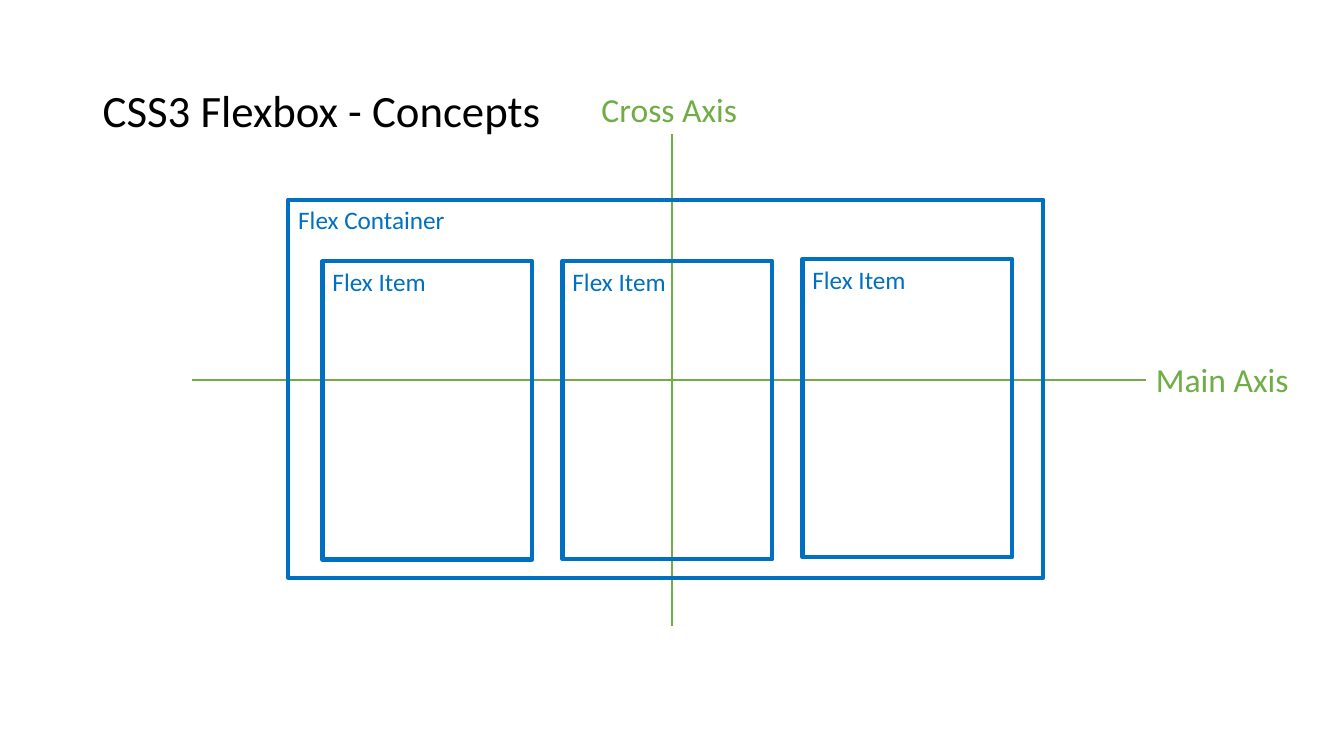
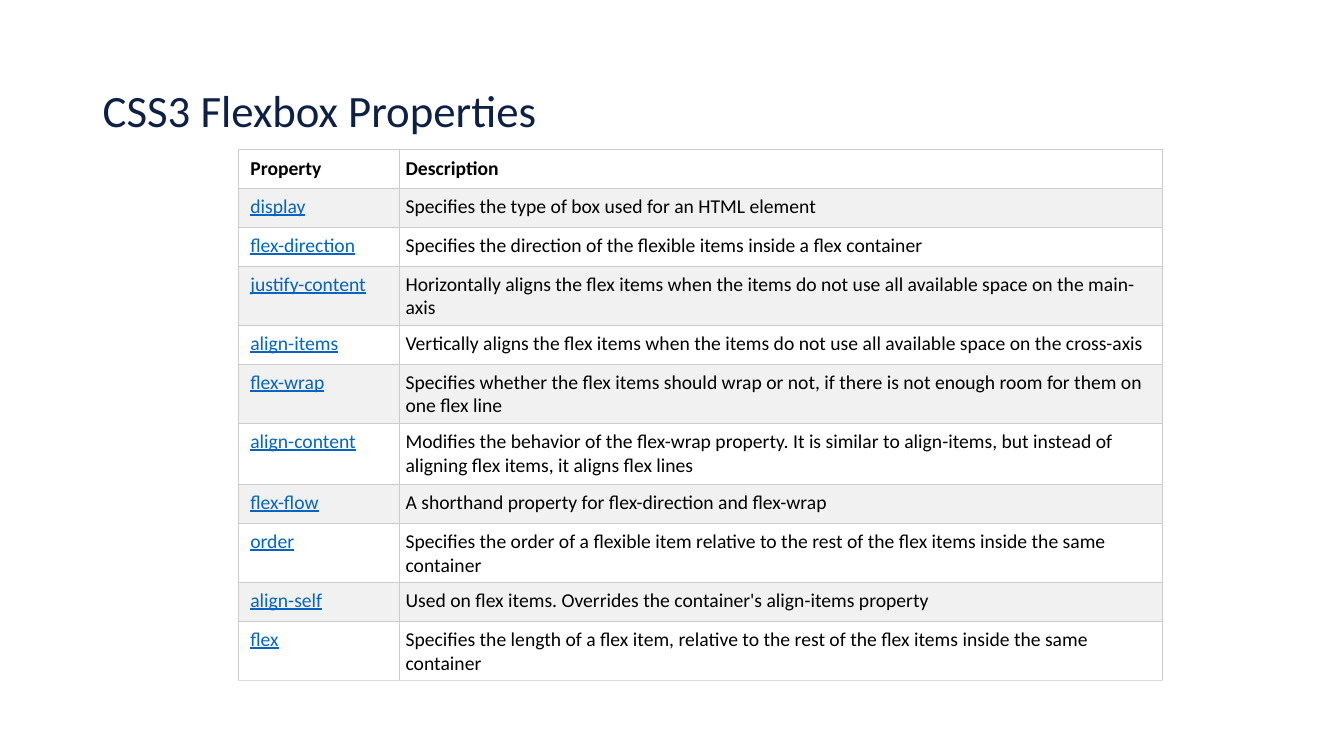
import dataclasses

import lxml.etree
import pptx
import pptx.dml.color
import pptx.enum.shapes
import pptx.enum.text
import pptx.oxml.ns
import pptx.presentation
import pptx.shapes.autoshape
import pptx.slide
import pptx.table
import pptx.text.text
import pptx.util

Pt = pptx.util.Pt
RGBColor = pptx.dml.color.RGBColor
Anchor = pptx.enum.text.MSO_ANCHOR
qn = pptx.oxml.ns.qn


@dataclasses.dataclass(frozen=True)
class Theme:
    font: str = "Calibri"
    black: RGBColor = RGBColor.from_string("000000")
    white: RGBColor = RGBColor.from_string("FFFFFF")
    navy: RGBColor = RGBColor.from_string("0E2045")
    blue: RGBColor = RGBColor.from_string("0070C0")
    green: RGBColor = RGBColor.from_string("70AD47")
    link: RGBColor = RGBColor.from_string("0563C1")
    stripe: RGBColor = RGBColor.from_string("F1F1F1")
    border: RGBColor = RGBColor.from_string("CCCCCC")
    last_border: RGBColor = RGBColor.from_string("DDDDDD")
    title_size: float = 32
    axis_size: float = 24
    box_size: float = 18
    table_size: float = 14
    box_line: float = 3
    axis_line: float = 1.5
    border_line: float = 0.75


THEME = Theme()


@dataclasses.dataclass(frozen=True)
class Frame:
    left: float
    top: float
    width: float
    height: float

    def lengths(self) -> tuple[int, int, int, int]:
        return Pt(self.left), Pt(self.top), Pt(self.width), Pt(self.height)


@dataclasses.dataclass(frozen=True)
class Box:
    text: str
    frame: Frame


@dataclasses.dataclass(frozen=True)
class Axis:
    label: Box
    label_side: int
    label_end: tuple[float, float]
    free_end: tuple[float, float]


@dataclasses.dataclass(frozen=True)
class Property:
    name: str
    description: str
    height: float = 27.8


TITLE_FRAME = Frame(66.24, 28.8, 828, 104.4)

AXES = (
    Axis(Box("Main Axis", Frame(818.6, 253, 110.2, 36.4)), 1, (818.6, 271.2), (137.4, 271.2)),
    Axis(Box("Cross Axis", Frame(422.6, 59.6, 115.2, 36.2)), 2, (480.2, 95.8), (480.2, 447.1)),
)

ITEM_LEFT = 230.4
ITEM_STEP = 171.4
ITEM_TOPS = (186.6, 186.4, 185)
BOXES = (
    Box("Flex Container", Frame(205.9, 142.6, 539.3, 270)),
    *(
        Box("Flex Item", Frame(ITEM_LEFT + index * ITEM_STEP, top, 149.8, 213.1))
        for index, top in enumerate(ITEM_TOPS)
    ),
)

TABLE_LEFT, TABLE_TOP = 170.2, 106.9
COLUMN_WIDTHS = (115.2, 545)
CELL_MARGIN = 4.32
PROPERTIES = (
    Property("Property", "Description"),
    Property("display", "Specifies the type of box used for an HTML element"),
    Property("flex-direction", "Specifies the direction of the flexible items inside a flex container"),
    Property(
        "justify-content",
        "Horizontally aligns the flex items when the items do not use all available space on the main-axis",
    ),
    Property(
        "align-items",
        "Vertically aligns the flex items when the items do not use all available space on the cross-axis",
    ),
    Property(
        "flex-wrap",
        "Specifies whether the flex items should wrap or not, if there is not enough room for them on one flex line",
    ),
    Property(
        "align-content",
        "Modifies the behavior of the flex-wrap property. It is similar to align-items, "
        "but instead of aligning flex items, it aligns flex lines",
        43.6,
    ),
    Property("flex-flow", "A shorthand property for flex-direction and flex-wrap"),
    Property(
        "order",
        "Specifies the order of a flexible item relative to the rest of the flex items inside the same container",
    ),
    Property("align-self", "Used on flex items. Overrides the container's align-items property"),
    Property(
        "flex",
        "Specifies the length of a flex item, relative to the rest of the flex items inside the same container",
    ),
)


def write_text(
    text_frame: pptx.text.text.TextFrame, text: str, size: float, color: RGBColor
) -> pptx.text.text._Paragraph:
    paragraph = text_frame.paragraphs[0]
    paragraph.text = text
    paragraph.alignment = pptx.enum.text.PP_ALIGN.LEFT
    paragraph.font.name = THEME.font
    paragraph.font.size = Pt(size)
    paragraph.font.color.rgb = color
    return paragraph


def add_titled_slide(
    presentation: pptx.presentation.Presentation, title: str, color: RGBColor
) -> pptx.slide.Slide:
    slide = presentation.slides.add_slide(presentation.slide_layouts[6])
    text_frame = slide.shapes.add_textbox(*TITLE_FRAME.lengths()).text_frame
    text_frame.word_wrap = True
    text_frame.vertical_anchor = Anchor.MIDDLE
    write_text(text_frame, title, THEME.title_size, color).line_spacing = 0.9
    return slide


def add_label(slide: pptx.slide.Slide, label: Box) -> pptx.shapes.autoshape.Shape:
    shape = slide.shapes.add_textbox(*label.frame.lengths())
    shape.text_frame.word_wrap = False
    shape.text_frame.auto_size = pptx.enum.text.MSO_AUTO_SIZE.SHAPE_TO_FIT_TEXT
    write_text(shape.text_frame, label.text, THEME.axis_size, THEME.green)
    return shape


def add_axis(slide: pptx.slide.Slide, axis: Axis) -> None:
    label = add_label(slide, axis.label)
    connector = slide.shapes.add_connector(
        pptx.enum.shapes.MSO_CONNECTOR.STRAIGHT,
        *(Pt(value) for value in axis.free_end + axis.label_end),
    )
    connector.end_connect(label, axis.label_side)
    connector.line.color.rgb = THEME.green
    connector.line.width = Pt(THEME.axis_line)
    lxml.etree.SubElement(connector._element.spPr, qn("a:effectLst"))


def add_box(slide: pptx.slide.Slide, box: Box) -> None:
    shape = slide.shapes.add_shape(pptx.enum.shapes.MSO_SHAPE.RECTANGLE, *box.frame.lengths())
    shape.shadow.inherit = False
    shape.fill.background()
    shape.line.color.rgb = THEME.blue
    shape.line.width = Pt(THEME.box_line)
    shape.text_frame.word_wrap = True
    shape.text_frame.vertical_anchor = Anchor.TOP
    write_text(shape.text_frame, box.text, THEME.box_size, THEME.blue)


def set_borders(cell: pptx.table._Cell, bottom_color: RGBColor) -> None:
    properties = cell._tc.get_or_add_tcPr()
    for side in "LRTB":
        line = lxml.etree.SubElement(properties, qn(f"a:ln{side}"), w=str(Pt(THEME.border_line)))
        fill = lxml.etree.SubElement(line, qn("a:solidFill"))
        color = bottom_color if side == "B" else THEME.border
        lxml.etree.SubElement(fill, qn("a:srgbClr"), val=str(color))


def fill_cell(cell: pptx.table._Cell, text: str, row: int, column: int) -> None:
    is_header = row == 0
    is_link = column == 0 and not is_header
    is_last = row == len(PROPERTIES) - 1
    set_borders(cell, THEME.last_border if is_last else THEME.border)
    cell.fill.solid()
    cell.fill.fore_color.rgb = THEME.stripe if row % 2 else THEME.white
    cell.margin_left = Pt(CELL_MARGIN * (2 if column == 0 else 1))
    cell.margin_right = cell.margin_top = cell.margin_bottom = Pt(CELL_MARGIN)
    cell.vertical_anchor = Anchor.MIDDLE if is_header else Anchor.TOP
    color = THEME.link if is_link else THEME.black
    paragraph = write_text(cell.text_frame, text, THEME.table_size, color)
    paragraph.font.bold = is_header
    paragraph.font.underline = is_link


def add_property_table(slide: pptx.slide.Slide) -> None:
    frame = Frame(TABLE_LEFT, TABLE_TOP, sum(COLUMN_WIDTHS), sum(entry.height for entry in PROPERTIES))
    table = slide.shapes.add_table(len(PROPERTIES), len(COLUMN_WIDTHS), *frame.lengths()).table
    table.horz_banding = False
    for column, width in zip(table.columns, COLUMN_WIDTHS):
        column.width = Pt(width)
    for row, entry in enumerate(PROPERTIES):
        table.rows[row].height = Pt(entry.height)
        for column, text in enumerate((entry.name, entry.description)):
            fill_cell(table.cell(row, column), text, row, column)


def main() -> None:
    presentation = pptx.Presentation()
    presentation.slide_width = Pt(960)
    presentation.slide_height = Pt(540)

    concepts = add_titled_slide(presentation, "CSS3 Flexbox - Concepts", THEME.black)
    for axis in AXES:
        add_axis(concepts, axis)
    for box in BOXES:
        add_box(concepts, box)

    properties = add_titled_slide(presentation, "CSS3 Flexbox Properties", THEME.navy)
    add_property_table(properties)

    presentation.save("out.pptx")


if __name__ == "__main__":
    main()
